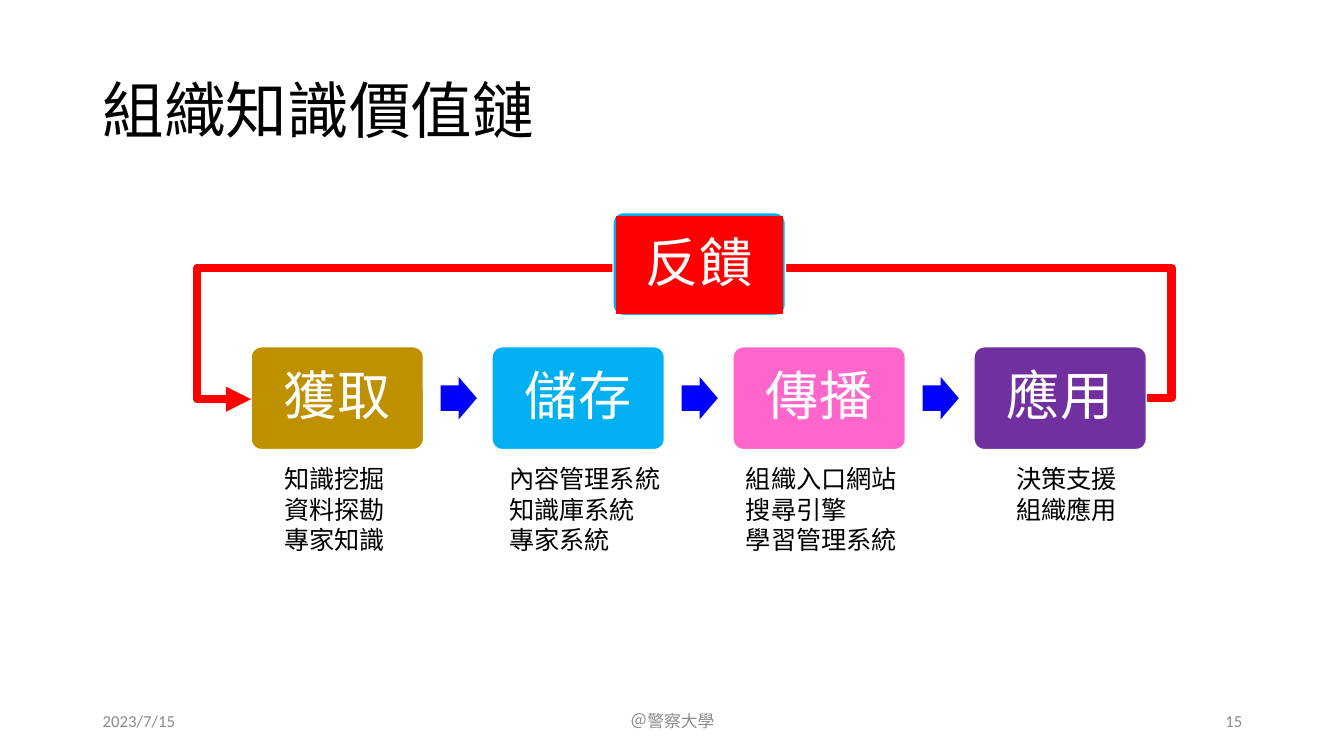
"""Build the slide on the organisational knowledge value chain."""
from lxml import etree
from pptx import Presentation
from pptx.dml.color import RGBColor
from pptx.enum.shapes import MSO_CONNECTOR, MSO_SHAPE
from pptx.enum.text import MSO_ANCHOR, MSO_AUTO_SIZE, PP_ALIGN
from pptx.oxml.ns import qn
from pptx.util import Inches, Pt

ROUNDED = MSO_SHAPE.ROUNDED_RECTANGLE
RECTANGLE = MSO_SHAPE.RECTANGLE
RIGHT_ARROW = MSO_SHAPE.RIGHT_ARROW
ELBOW = MSO_CONNECTOR.ELBOW
LEFT, CENTER, RIGHT = PP_ALIGN.LEFT, PP_ALIGN.CENTER, PP_ALIGN.RIGHT
TOP, MIDDLE = MSO_ANCHOR.TOP, MSO_ANCHOR.MIDDLE
FIT_SHAPE = MSO_AUTO_SIZE.SHAPE_TO_FIT_TEXT

FONT = "Calibri"
BLACK, WHITE, GRAY = "000000", "FFFFFF", "8C8C8C"
RED, BLUE, SKY = "FF0000", "0000FF", "00B0F0"

STAGE_LEFT, STAGE_TOP, STAGE_STEP = 2.49, 3.44, 2.39
STAGE_WIDTH, STAGE_HEIGHT = 1.71, 1.02
ARROW_OFFSET, ARROW_TOP = 1.88, 3.74
EXAMPLES_TOP = 4.55

STAGES = [
    ("獲取", "BF9000", 2.72, 1.21, ["知識挖掘", "資料探勘", "專家知識"]),
    ("儲存", SKY, 4.95, 1.72, ["內容管理系統", "知識庫系統", "專家系統"]),
    ("傳播", "FF66CC", 7.3, 1.72, ["組織入口網站", "搜尋引擎", "學習管理系統"]),
    ("應用", "7030A0", 9.98, 1.21, ["決策支援", "組織應用"]),
]
FOOTERS = [
    ("2023/7/15", 0.92, 3, LEFT),
    ("＠警察大學", 4.42, 4.5, CENTER),
    ("15", 9.42, 3, RIGHT),
]


def color(value):
    """Return the colour for a hex string."""
    return RGBColor.from_string(value)


def write_lines(frame, lines, size, ink, align=LEFT, anchor=TOP, spacing=None):
    """Write one paragraph per line in a single style."""
    frame.vertical_anchor = anchor
    frame.text = "\n".join(lines)
    for paragraph in frame.paragraphs:
        paragraph.alignment = align
        paragraph.line_spacing = spacing
        paragraph.font.name = FONT
        paragraph.font.size = Pt(size)
        paragraph.font.color.rgb = color(ink)


def add_text(slide, box, lines, size, ink, **style):
    """Add a wrapping text box and return its text frame."""
    frame = slide.shapes.add_textbox(*map(Inches, box)).text_frame
    frame.word_wrap = True
    write_lines(frame, lines, size, ink, **style)
    return frame


def add_block(slide, kind, box, fill, adjustments=(), line=None, line_width=1):
    """Add a filled preset shape, outlined if a line colour is given."""
    block = slide.shapes.add_shape(kind, *map(Inches, box))
    block.shadow.inherit = False
    for index, value in enumerate(adjustments):
        block.adjustments[index] = value
    block.fill.solid()
    block.fill.fore_color.rgb = color(fill)
    if line:
        block.line.color.rgb = color(line)
        block.line.width = Pt(line_width)
    else:
        block.line.fill.background()
    return block


def add_label(block, label):
    """Write a large centred label on a block."""
    frame = block.text_frame
    frame.word_wrap = True
    frame.margin_left = frame.margin_right = Inches(0.16)
    frame.margin_top = frame.margin_bottom = Inches(0.16)
    write_lines(frame, [label], 38, WHITE, CENTER, MIDDLE, 0.9)


def add_stage(slide, index, label, fill, examples_left, examples_width, examples):
    """Add a stage of the chain with its examples below."""
    left = STAGE_LEFT + index * STAGE_STEP
    box = (left, STAGE_TOP, STAGE_WIDTH, STAGE_HEIGHT)
    add_label(add_block(slide, ROUNDED, box, fill, [0.1], WHITE), label)
    if index < len(STAGES) - 1:
        arrow_box = (left + ARROW_OFFSET, ARROW_TOP, 0.36, 0.42)
        add_block(slide, RIGHT_ARROW, arrow_box, BLUE, [0.6, 0.5])
    height = 0.1 + 0.3 * len(examples)
    examples_box = (examples_left, EXAMPLES_TOP, examples_width, height)
    frame = add_text(slide, examples_box, examples, 18, BLACK)
    frame.word_wrap = False
    frame.auto_size = FIT_SHAPE


def add_feedback_loop(slide, start, end, right, top, left):
    """Add the bent arrow from the last stage back to the first."""
    loop = slide.shapes.add_connector(ELBOW, *map(Inches, start + end))
    loop.line.color.rgb = color(RED)
    loop.line.width = Pt(6)
    properties = loop._element.spPr
    etree.SubElement(properties.find(qn("a:ln")), qn("a:tailEnd"), type="triangle")
    etree.SubElement(properties, qn("a:effectLst"))
    geometry = properties.find(qn("a:prstGeom"))
    geometry.set("prst", "bentConnector5")
    guides = geometry.find(qn("a:avLst"))
    width, height = start[0] - end[0], end[1] - start[1]
    ratios = [
        (start[0] - right) / width,
        (top - start[1]) / height,
        (start[0] - left) / width,
    ]
    for number, ratio in enumerate(ratios, 1):
        etree.SubElement(guides, qn("a:gd"), name=f"adj{number}",
                         fmla=f"val {round(ratio * 100000)}")


def add_feedback(slide):
    """Add the feedback box over its rounded backing."""
    backing = (6.08, 2.11, STAGE_WIDTH, STAGE_HEIGHT)
    add_block(slide, ROUNDED, backing, SKY, [0.1], WHITE)
    front = (6.11, 2.15, 1.65, 0.96)
    add_label(add_block(slide, RECTANGLE, front, RED, (), RED, 0.75), "反饋")


def main():
    """Build and save the slide."""
    deck = Presentation()
    deck.slide_width, deck.slide_height = Inches(13.33), Inches(7.5)
    slide = deck.slides.add_slide(deck.slide_layouts[6])
    add_text(slide, (0.92, 0.4, 11.5, 1.45), ["組織知識價值鏈"], 44, BLACK,
             anchor=MIDDLE, spacing=0.9)
    for index, stage in enumerate(STAGES):
        add_stage(slide, index, *stage)
    add_feedback_loop(slide, (11.38, 3.95), (2.49, 3.96), 11.62, 2.64, 1.96)
    add_feedback(slide)
    for text, left, width, align in FOOTERS:
        add_text(slide, (left, 6.95, width, 0.4), [text], 12, GRAY,
                 align=align, anchor=MIDDLE)
    deck.save("out.pptx")


if __name__ == "__main__":
    main()
